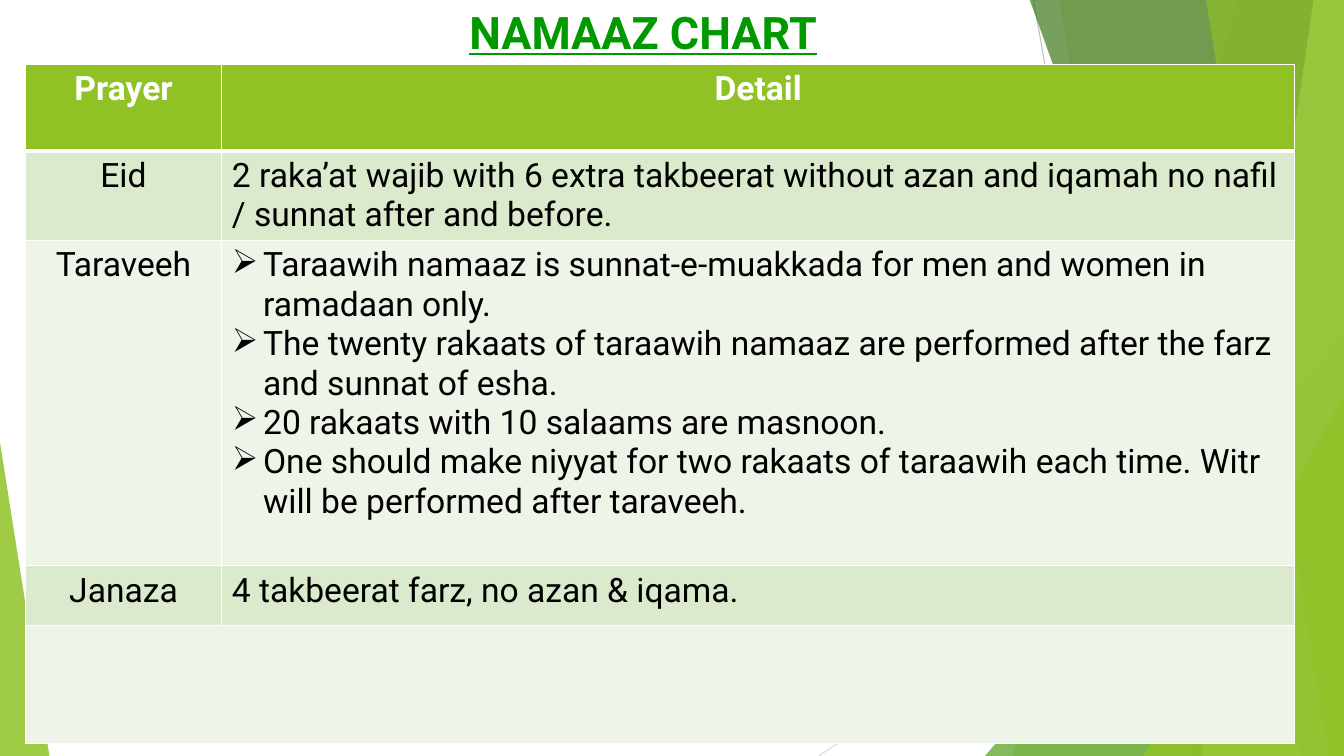
"""Build the Namaaz chart slide with its faceted green background."""
from typing import NamedTuple

from lxml import etree
from pptx import Presentation
from pptx.dml.color import RGBColor
from pptx.enum.shapes import MSO_CONNECTOR, MSO_SHAPE
from pptx.enum.text import MSO_ANCHOR, MSO_AUTO_SIZE, PP_ALIGN
from pptx.oxml import parse_xml
from pptx.oxml.ns import nsdecls, qn
from pptx.util import Inches, Pt

STRAIGHT = MSO_CONNECTOR.STRAIGHT
TRIANGLE = MSO_SHAPE.ISOSCELES_TRIANGLE
TOP = MSO_ANCHOR.TOP
NO_AUTOFIT = MSO_AUTO_SIZE.NONE
CENTER, LEFT = PP_ALIGN.CENTER, PP_ALIGN.LEFT

FONT = "Roboto"
WIDTH, HEIGHT = 13.33, 7.5
FACET_TOP = -0.01
GREEN, WHITE, BLACK = "90C226", "FFFFFF", "000000"
BANDS = ("EEF4E8", "DBE9CD")
COLUMN_WIDTHS = (1.95, 10.64)
BULLET_INDENT = 0.31


class Line(NamedTuple):
    start: tuple[float, float]
    end: tuple[float, float]
    color: str


class Facet(NamedTuple):
    """A panel running from a slanted left edge to the right slide edge."""
    top_x: float
    bottom_x: float
    color: str
    opacity: int


class Corner(NamedTuple):
    """A triangle standing on the bottom slide edge."""
    left: float
    top: float
    width: float
    apex: float
    color: str
    opacity: int


class Row(NamedTuple):
    height: float
    prayer: str = ""
    details: tuple[str, ...] = ()


BACKGROUND = (
    Line((10.25, 0), (11.58, HEIGHT), "BFBFBF"),
    Line((WIDTH, 4.03), (8.12, HEIGHT), "D9D9D9"),
    Facet(12.28, 10.04, GREEN, 30),
    Facet(10.5, 11.83, GREEN, 20),
    Corner(9.77, 3.33, 3.56, 1, "54A021", 72),
    Facet(10.21, 12.91, "3F7819", 70),
    Facet(13.03, 11.92, "C0E474", 70),
    Facet(11.96, 13.18, GREEN, 65),
    Corner(11.34, 3.93, 1.99, 1, GREEN, 80),
    Corner(0, 4.39, 0.49, 0, GREEN, 85),
)

ROWS = (
    Row(0.86, "Prayer", ("Detail",)),
    Row(0.88, "Eid", (
        "2 raka’at wajib with 6 extra takbeerat without azan and iqamah no nafil / sunnat after and before.",
    )),
    Row(3.23, "Taraveeh", (
        "Taraawih namaaz is sunnat-e-muakkada for men and women in ramadaan only.",
        "The twenty rakaats of taraawih namaaz are performed after the farz and sunnat of esha.",
        "20 rakaats with 10 salaams are masnoon.",
        "One should make niyyat for two rakaats of taraawih each time. Witr will be performed after taraveeh.",
    )),
    Row(0.59, "Janaza", ("4 takbeerat farz, no azan & iqama.",)),
    Row(1.17),
)


def set_color(target, color: str) -> None:
    """Apply a hex colour to a colour format."""
    target.rgb = RGBColor.from_string(color)


def fill_solid(target, color: str) -> None:
    """Fill a shape or cell with a hex colour."""
    target.fill.solid()
    set_color(target.fill.fore_color, color)


def fill_translucent(shape, color: str, opacity: int) -> None:
    """Fill a shape at an opacity in percent, without outline or shadow."""
    fill_solid(shape, color)
    color_element = shape.element.spPr.find(f"{qn('a:solidFill')}/{qn('a:srgbClr')}")
    etree.SubElement(color_element, qn("a:alpha"), val=str(opacity * 1000))
    shape.line.fill.background()
    shape.shadow.inherit = False


def draw_line(slide, line: Line) -> None:
    """Draw a thin background line."""
    points = [Inches(value) for value in (*line.start, *line.end)]
    connector = slide.shapes.add_connector(STRAIGHT, *points)
    set_color(connector.line.color, line.color)
    connector.line.width = Pt(0.75)
    etree.SubElement(connector.element.spPr, qn("a:effectLst"))


def draw_facet(slide, facet: Facet) -> None:
    """Draw a slanted panel."""
    corners = ((facet.top_x, FACET_TOP), (WIDTH, FACET_TOP), (WIDTH, HEIGHT), (facet.bottom_x, HEIGHT))
    points = [(Inches(x), Inches(y)) for x, y in corners]
    builder = slide.shapes.build_freeform(*points[0])
    builder.add_line_segments(points[1:], close=True)
    fill_translucent(builder.convert_to_shape(), facet.color, facet.opacity)


def draw_corner(slide, corner: Corner) -> None:
    """Draw a triangle down to the bottom slide edge."""
    bounds = (corner.left, corner.top, corner.width, HEIGHT - corner.top)
    shape = slide.shapes.add_shape(TRIANGLE, *(Inches(value) for value in bounds))
    shape.adjustments[0] = corner.apex
    fill_translucent(shape, corner.color, corner.opacity)


def format_runs(paragraph, size: float, color: str, bold: bool) -> None:
    """Format every run of a paragraph."""
    for run in paragraph.runs:
        run.font.name = FONT
        run.font.size = Pt(size)
        run.font.bold = bold
        set_color(run.font.color, color)


def add_title(slide) -> None:
    """Place and format the slide title."""
    title = slide.shapes.title
    title.left, title.top = Inches(3.92), Inches(-0.08)
    title.width, title.height = Inches(4.92), Inches(0.72)
    frame = title.text_frame
    frame.text = "NAMAAZ CHART"
    frame.word_wrap = True
    frame.auto_size = NO_AUTOFIT
    frame.vertical_anchor = TOP
    paragraph = frame.paragraphs[0]
    paragraph.alignment = CENTER
    paragraph.line_spacing = 1.15
    paragraph.space_after = Pt(10)
    format_runs(paragraph, 32, "009900", True)
    paragraph.runs[0].font.underline = True


def add_bullet(paragraph) -> None:
    """Give a paragraph an arrow bullet with a hanging indent."""
    properties = paragraph._p.get_or_add_pPr()
    properties.set("marL", str(Inches(BULLET_INDENT)))
    properties.set("indent", str(Inches(-BULLET_INDENT)))
    etree.SubElement(properties, qn("a:buChar"), char="➢")


def set_borders(cell, bottom_width: float) -> None:
    """Draw white cell borders, with a chosen bottom width in points."""
    properties = cell._tc.get_or_add_tcPr()
    for index, side in enumerate("LRTB"):
        width = Pt(bottom_width if side == "B" else 1)
        properties.insert(index, parse_xml(
            f'<a:ln{side} {nsdecls("a")} w="{width}"><a:solidFill>'
            f'<a:srgbClr val="{WHITE}"/></a:solidFill></a:ln{side}>'))


def fill_cell(cell, texts: tuple[str, ...], row_index: int, centered: bool) -> None:
    """Write and format one table cell."""
    is_header = row_index == 0
    fill_solid(cell, GREEN if is_header else BANDS[row_index % 2])
    set_borders(cell, 3 if is_header else 1)
    cell.text_frame.text = "\n".join(texts)
    for paragraph in cell.text_frame.paragraphs:
        paragraph.alignment = CENTER if centered else LEFT
        format_runs(paragraph, 24, WHITE if is_header else BLACK, is_header)
        if len(texts) > 1:
            add_bullet(paragraph)


def add_prayer_table(slide) -> None:
    """Add the table of prayers and their details."""
    table = slide.shapes.add_table(
        len(ROWS), len(COLUMN_WIDTHS), Inches(0.25), Inches(0.64),
        Inches(sum(COLUMN_WIDTHS)), Inches(sum(row.height for row in ROWS))).table
    for column, width in zip(table.columns, COLUMN_WIDTHS):
        column.width = Inches(width)
    for index, row in enumerate(ROWS):
        table.rows[index].height = Inches(row.height)
        fill_cell(table.cell(index, 0), (row.prayer,), index, True)
        fill_cell(table.cell(index, 1), row.details, index, index == 0)
    last = len(ROWS) - 1
    table.cell(last, 0).merge(table.cell(last, 1))


def main() -> None:
    """Build and save the presentation."""
    presentation = Presentation()
    presentation.slide_width, presentation.slide_height = Inches(WIDTH), Inches(HEIGHT)
    slide = presentation.slides.add_slide(presentation.slide_layouts[5])
    painters = {Line: draw_line, Facet: draw_facet, Corner: draw_corner}
    for element in BACKGROUND:
        painters[type(element)](slide, element)
    add_prayer_table(slide)
    add_title(slide)
    presentation.save("out.pptx")


if __name__ == "__main__":
    main()
